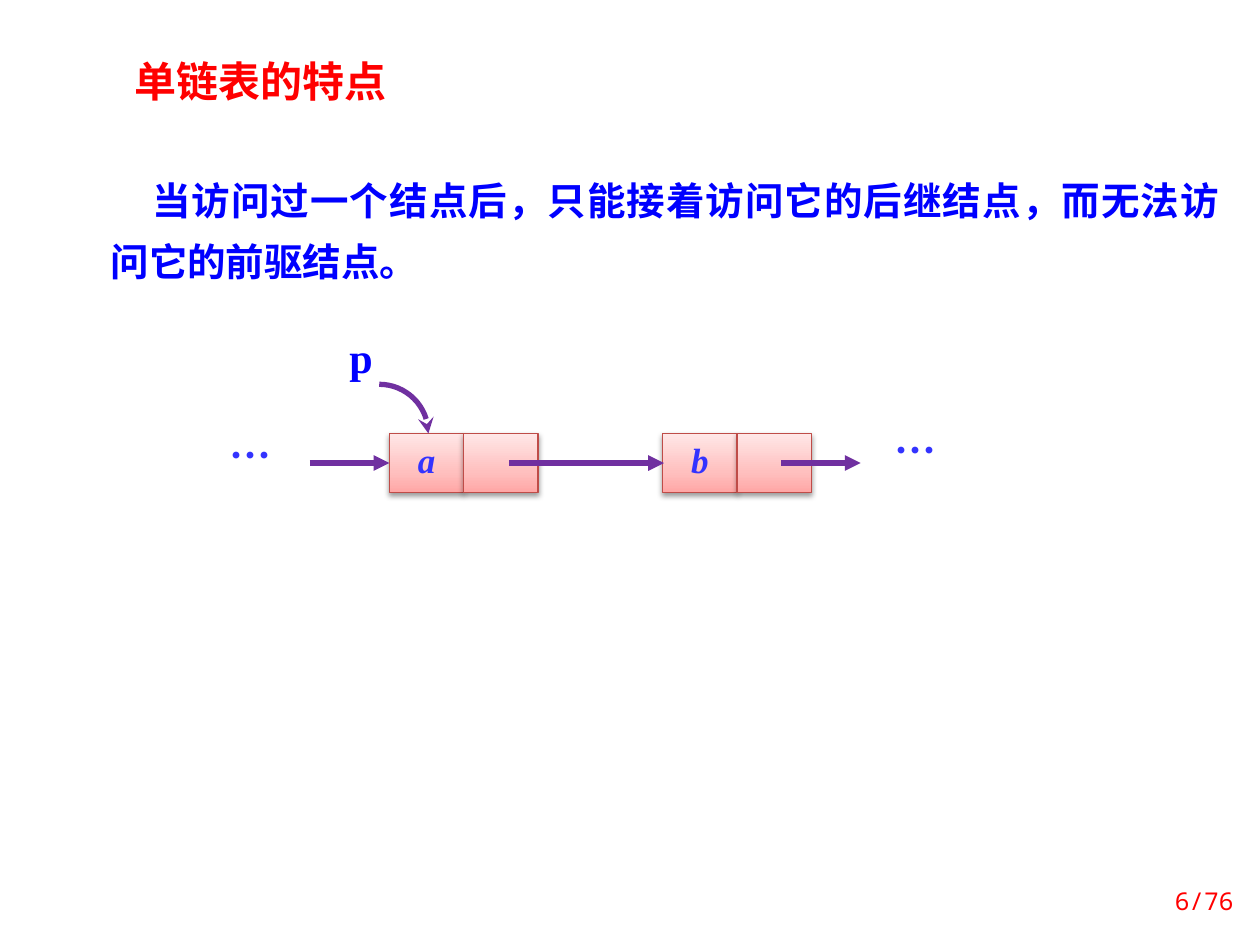
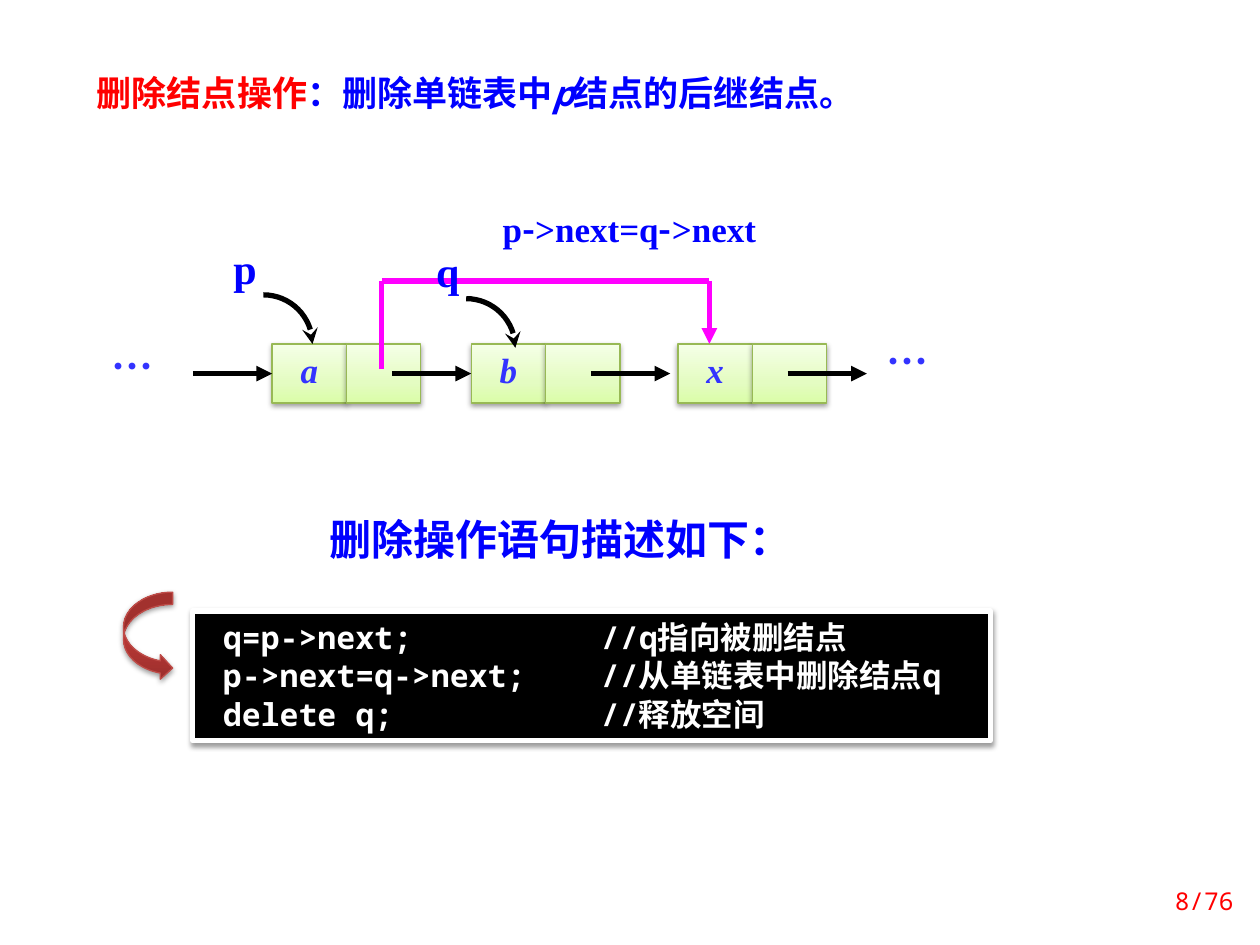
from copy import deepcopy
from dataclasses import dataclass
from itertools import pairwise
from math import cos, pi, sin

from lxml.etree import SubElement
from pptx import Presentation
from pptx.dml.color import RGBColor
from pptx.enum.shapes import MSO_CONNECTOR, MSO_SHAPE
from pptx.enum.text import MSO_ANCHOR, PP_ALIGN
from pptx.oxml.ns import qn
from pptx.util import Inches, Pt


@dataclass(frozen=True)
class Look:
    stops: tuple
    edge: str
    ink: str = "000000"


@dataclass(frozen=True)
class Theme:
    red: str = "FF0000"
    blue: str = "0000FF"
    soft: str = "3333FF"
    pink: str = "FF00FF"
    black: str = "000000"
    white: str = "FFFFFF"
    han: str = "Noto Sans CJK SC"
    mono: str = "Noto Sans Mono"
    serif: str = "Times New Roman"
    head: int = 24
    body: int = 22
    node: int = 20
    code: int = 18
    foot: int = 14
    rose: Look = Look(((0, "FFA6A5"), (0.35, "FFC0BF"), (1, "FFE7E7")), "BF4C48", "7030A0")
    lime: Look = Look(((0, "DAFDA7"), (0.35, "E4FCC2"), (1, "F5FFE7")), "98B955")
    brick: Look = Look(((0, "9C2F2D"), (0.8, "CB3E3A"), (1, "CE3B37")), "BF4C48")


T = Theme()
CELL_W, CELL_H = 0.59, 0.47
REACH = 0.63


def add_run(para, text, size, face, color, bold=True, slant=False):
    run = para.add_run()
    run.text = text
    font = run.font
    font.size, font.name, font.bold, font.italic = Pt(size), face, bold, slant
    font.color.rgb = RGBColor.from_string(color)
    SubElement(font._element, qn("a:ea"), typeface=T.han)


def add_text(slide, box, runs, align=PP_ALIGN.CENTER, space=0.8, anchor=MSO_ANCHOR.TOP):
    frame = slide.shapes.add_textbox(*map(Inches, box)).text_frame
    frame.word_wrap = True
    frame.vertical_anchor = anchor
    para = frame.paragraphs[0]
    para.alignment, para.line_spacing = align, space
    for run in runs:
        add_run(para, *run)
    return para


def set_line(shape, color, width, head=None):
    shape.line.color.rgb = RGBColor.from_string(color)
    shape.line.width = Pt(width)
    if head:
        SubElement(shape.element.spPr.find(qn("a:ln")), qn("a:tailEnd"), type=head)


def add_shade(shape, alpha=38):
    shape.shadow.inherit = False
    shade = SubElement(
        shape.element.spPr.find(qn("a:effectLst")), qn("a:outerShdw"),
        blurRad=str(Pt(3.1)), dist=str(Pt(1.6)), dir="5400000", rotWithShape="0")
    tint = SubElement(shade, qn("a:srgbClr"), val=T.black)
    SubElement(tint, qn("a:alpha"), val=str(alpha * 1000))


def add_block(slide, kind, box, look):
    shape = slide.shapes.add_shape(kind, *map(Inches, box))
    shape.fill.gradient()
    shape.fill.gradient_angle = 90
    stops = next(shape.element.spPr.iter(qn("a:gsLst")))
    stops.append(deepcopy(stops[0]))
    for stop, (place, color) in zip(shape.fill.gradient_stops, look.stops):
        stop.position = place
        stop.color.rgb = RGBColor.from_string(color)
    set_line(shape, look.edge, 0.75)
    add_shade(shape)
    return shape


def add_link(slide, start, end, color, head="triangle"):
    link = slide.shapes.add_connector(
        MSO_CONNECTOR.STRAIGHT, *map(Inches, (*start, *end)))
    set_line(link, color, 3, head)
    SubElement(link.element.spPr, qn("a:effectLst"))


def add_mark(slide, left, top, name, ink):
    size, steps = 0.39, 16
    turns = [pi / 2 * step / steps for step in range(steps + 1)]
    points = [(Inches(left + size * sin(turn)), Inches(top + size * (1 - cos(turn))))
              for turn in turns]
    form = slide.shapes.build_freeform(*points[0])
    form.add_line_segments(points[1:], close=False)
    curve = form.convert_to_shape()
    curve.fill.background()
    curve.shadow.inherit = False
    set_line(curve, ink, 3, "stealth")
    add_text(slide, (left - 0.38, top - 0.39, 0.47, 0.5),
             [(name, T.head, T.serif, T.blue)])


def add_chain(slide, top, nodes, look, last):
    mid = top + CELL_H / 2
    first = nodes[0][1]
    for name, left, _, _ in nodes:
        for col, label in enumerate((name, "")):
            cell = add_block(slide, MSO_SHAPE.RECTANGLE,
                             (left + col * CELL_W, top, CELL_W, CELL_H), look)
            if label:
                frame = cell.text_frame
                frame.word_wrap = False
                para = frame.paragraphs[0]
                para.line_spacing = 0.8
                add_run(para, label, T.node, T.serif, T.soft, True, True)
    for _, left, shift, reach in nodes:
        add_link(slide, (left + shift, mid), (left + shift + reach, mid), look.ink)
    add_link(slide, (first - REACH, mid), (first, mid), look.ink)
    for left, rise in ((first - 1.42, 0), (last, 0.04)):
        add_text(slide, (left, top - rise, 0.63, 0.5), [("…", T.head, T.han, T.soft)])


def add_foot(slide, page):
    add_text(slide, (8.98, 6.95, 0.91, 0.4),
             [(f"{page}/76", T.foot, T.mono, T.red, False)],
             PP_ALIGN.RIGHT, 1.0, MSO_ANCHOR.MIDDLE)


def add_code(slide, left, top):
    panel = slide.shapes.add_shape(
        MSO_SHAPE.RECTANGLE, *map(Inches, (left, top, 6.33, 1.03)))
    panel.fill.solid()
    panel.fill.fore_color.rgb = RGBColor.from_string(T.black)
    set_line(panel, T.white, 3)
    add_shade(panel)
    frame = panel.text_frame
    frame.word_wrap = True
    frame.margin_left = Inches(0.24)
    frame.vertical_anchor = MSO_ANCHOR.TOP
    lines = (("q=p->next;", "//q指向被删结点"),
             ("p->next=q->next;", "//从单链表中删除结点q"),
             ("delete q;", "//释放空间"))
    for row, line in enumerate(lines):
        para = frame.add_paragraph() if row else frame.paragraphs[0]
        tabs = SubElement(para._p.get_or_add_pPr(), qn("a:tabLst"))
        SubElement(tabs, qn("a:tab"), pos=str(Inches(3)), algn="l")
        para.alignment, para.line_spacing = PP_ALIGN.LEFT, Pt(22)
        add_run(para, "\t".join(line), T.code, T.mono, T.white)
    add_block(slide, MSO_SHAPE.CURVED_RIGHT_ARROW,
              (left - 0.55, top - 0.15, 0.39, 0.7), T.brick)


def add_bypass(slide, left, top):
    pieces = (("p", T.serif), ("-", T.han), (">next=q", T.serif),
              ("-", T.han), (">next", T.serif))
    add_text(slide, (left - 0.08, top - 0.57, 4.09, 0.37),
             [(text, T.node, face, T.blue) for text, face in pieces])
    right = left + 2.6
    route = ((left, top + 0.7), (left, top), (right, top), (right, top + 0.5))
    for start, end in pairwise(route):
        add_link(slide, start, end, T.pink, "triangle" if end == route[-1] else None)


def draw_traits(slide):
    para = add_text(
        slide, (0.78, 1.25, 9, 1.06),
        [("当访问过一个结点后，只能接着访问它的后继结点，而无法访问它的前驱结点。",
          T.body, T.han, T.blue)], PP_ALIGN.JUSTIFY, 1.3)
    para._p.get_or_add_pPr().set("indent", str(Inches(0.33)))
    add_text(slide, (0.7, 0.47, 2.73, 0.51),
             [("单链表的特点", T.head, T.han, T.red)])
    add_chain(slide, 3.44, (("a", 3.09, 0.95, 1.23), ("b", 5.26, 0.94, REACH)),
              T.rose, 6.95)
    add_mark(slide, 3.01, 3.05, "p", T.rose.ink)
    add_foot(slide, 6)


def draw_delete(slide):
    add_chain(slide, 2.73,
              (("a", 2.16, 0.95, REACH), ("b", 3.74, 0.95, REACH),
               ("x", 5.38, 0.87, REACH)), T.lime, 6.89)
    add_bypass(slide, 3.03, 2.23)
    for name, left, top in (("p", 2.09, 2.34), ("q", 3.7, 2.37)):
        add_mark(slide, left, top, name, T.lime.ink)
    add_text(slide, (0.67, 0.52, 7.11, 0.44),
             [("删除结点操作", T.node, T.mono, T.red),
              ("：删除单链表中", T.node, T.mono, T.blue),
              ("p", T.node, T.mono, T.blue, True, True),
              ("结点的后继结点。", T.node, T.mono, T.blue)], PP_ALIGN.LEFT, 1.0)
    add_text(slide, (2.17, 3.91, 4.55, 0.62),
             [("删除操作语句描述如下：", T.head, T.serif, T.blue)], space=1.3)
    add_code(slide, 1.53, 4.85)
    add_foot(slide, 8)


def main():
    deck = Presentation()
    deck.slide_width, deck.slide_height = Inches(10), Inches(7.5)
    for draw in (draw_traits, draw_delete):
        draw(deck.slides.add_slide(deck.slide_layouts[6]))
    deck.save("out.pptx")


if __name__ == "__main__":
    main()
